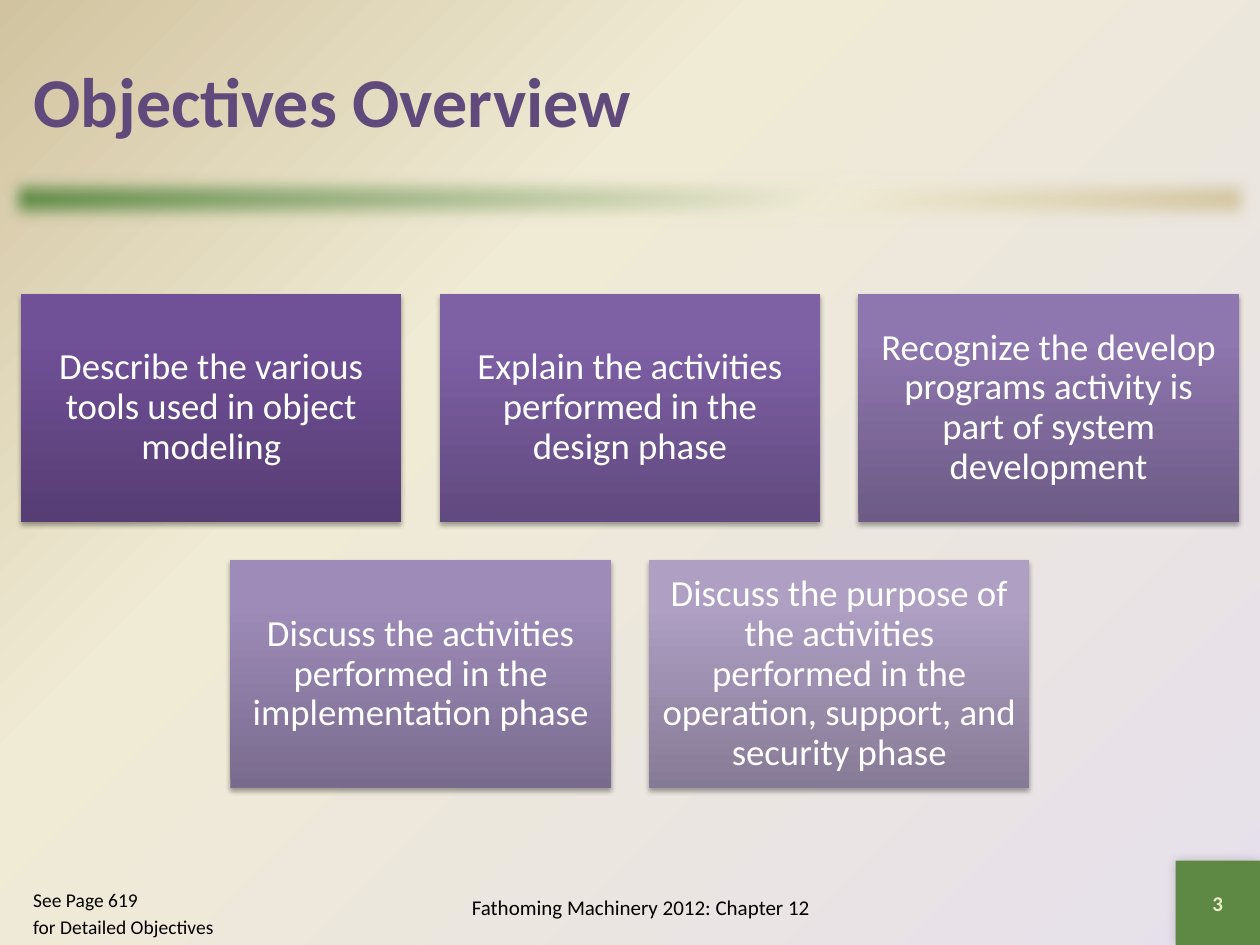
from dataclasses import dataclass

from lxml import etree
from pptx import Presentation
from pptx.dml.color import RGBColor
from pptx.enum.shapes import MSO_SHAPE
from pptx.enum.text import MSO_ANCHOR, PP_ALIGN
from pptx.oxml.ns import qn
from pptx.util import Cm, Pt

RECTANGLE = MSO_SHAPE.RECTANGLE
MIDDLE, TOP = MSO_ANCHOR.MIDDLE, MSO_ANCHOR.TOP
LEFT, CENTER = PP_ALIGN.LEFT, PP_ALIGN.CENTER

FONT = "Calibri"
GREEN, CREAM, TAN, LILAC = "5E8945", "F0EBD5", "D1C39F", "E6E0EC"
SLIDE_WIDTH, SLIDE_HEIGHT = 25.4, 19.05
CARD_WIDTH, CARD_HEIGHT, CARD_GAP, CARDS_TOP = 7.67, 4.6, 0.77, 5.92
MARGIN = 0.42


@dataclass(frozen=True)
class Box:
    """A place on the slide, in centimetres."""
    left: float
    top: float
    width: float
    height: float

    def lengths(self):
        return Cm(self.left), Cm(self.top), Cm(self.width), Cm(self.height)


@dataclass(frozen=True)
class Objective:
    wording: str
    bottom: str
    middle: str
    top: str


OBJECTIVE_ROWS = [
    [
        Objective("Describe the various tools used in object modeling",
                  "563D74", "705097", "704F99"),
        Objective("Explain the activities performed in the design phase",
                  "614A7F", "7E60A5", "7F60A7"),
        Objective("Recognize the develop programs activity is part of system development",
                  "6D5B86", "8E76AE", "8E75B0"),
    ],
    [
        Objective("Discuss the activities performed in the implementation phase",
                  "796B8E", "9E8BB8", "9E8BBA"),
        Objective("Discuss the purpose of the activities performed in the operation, "
                  "support, and security phase",
                  "867B96", "AE9FC3", "AE9FC4"),
    ],
]


def rgb(value: str) -> RGBColor:
    return RGBColor.from_string(value)


def add_element(parent, tag: str, **attributes):
    element = etree.SubElement(parent, qn(tag))
    for key, value in attributes.items():
        element.set(key, str(value))
    return element


def set_gradient(fill, properties, stops, angle=None):
    """Fill along an angle, or outwards from the bottom right corner without one."""
    fill.gradient()
    gradient = properties.find(qn("a:gradFill"))
    for child in list(gradient):
        gradient.remove(child)
    stop_list = add_element(gradient, "a:gsLst")
    for percent, color in stops:
        stop = add_element(stop_list, "a:gs", pos=percent * 1000)
        add_element(stop, "a:srgbClr", val=color)
    if angle is None:
        circle = add_element(gradient, "a:path", path="circle")
        add_element(circle, "a:fillToRect", l=100000, t=100000)
    else:
        add_element(gradient, "a:lin", ang=angle * 60000, scaled=1)


def add_rectangle(slide, box: Box):
    rectangle = slide.shapes.add_shape(RECTANGLE, *box.lengths())
    rectangle.line.fill.background()
    rectangle.shadow.inherit = False
    return rectangle


def effects(shape):
    return shape._element.spPr.find(qn("a:effectLst"))


def add_shadow(shape, opacity: int, blur: float, distance: float, angle: int):
    shadow = add_element(effects(shape), "a:outerShdw", blurRad=Pt(blur),
                         dist=Pt(distance), dir=angle * 60000, rotWithShape=0)
    color = add_element(shadow, "a:srgbClr", val="000000")
    add_element(color, "a:alpha", val=opacity * 1000)


def write(shape, text: str, *, size: float, color: str, bold=False, align=LEFT,
          anchor=MIDDLE, inset=None, line_spacing=None, gap=0.0):
    """Write one paragraph per line of text, with gap points between them."""
    frame = shape.text_frame
    frame.text = text
    frame.word_wrap = True
    frame.vertical_anchor = anchor
    if inset is not None:
        frame.margin_left = frame.margin_right = Cm(inset)
        frame.margin_top = frame.margin_bottom = Cm(inset)
    for index, paragraph in enumerate(frame.paragraphs):
        paragraph.alignment = align
        paragraph.line_spacing = line_spacing
        if index and gap:
            paragraph.space_before = Pt(gap)
        font = paragraph.font
        font.name, font.size, font.bold = FONT, Pt(size), bold
        font.color.rgb = rgb(color)


def add_label(slide, box: Box, text: str, **text_format):
    write(slide.shapes.add_textbox(*box.lengths()), text, **text_format)


def add_card(slide, box: Box, objective: Objective):
    card = add_rectangle(slide, box)
    stops = [(0, objective.bottom), (80, objective.middle), (100, objective.top)]
    set_gradient(card.fill, card._element.spPr, stops, angle=270)
    add_shadow(card, opacity=35, blur=3.1, distance=1.8, angle=90)
    write(card, objective.wording, size=21, color="FFFFFF", align=CENTER,
          inset=0.23, line_spacing=0.9)


def add_cards(slide):
    """Centre each row of cards on the slide."""
    for row, objectives in enumerate(OBJECTIVE_ROWS):
        count = len(objectives)
        row_width = count * CARD_WIDTH + (count - 1) * CARD_GAP
        left = (SLIDE_WIDTH - row_width) / 2
        top = CARDS_TOP + row * (CARD_HEIGHT + CARD_GAP)
        for column, objective in enumerate(objectives):
            card_left = left + column * (CARD_WIDTH + CARD_GAP)
            add_card(slide, Box(card_left, top, CARD_WIDTH, CARD_HEIGHT), objective)


def add_divider(slide):
    divider = add_rectangle(slide, Box(0, 3.38, SLIDE_WIDTH, 1.27))
    set_gradient(divider.fill, divider._element.spPr,
                 [(0, GREEN), (65, CREAM), (100, TAN)], angle=45)
    add_element(effects(divider), "a:softEdge", rad=Pt(10))


def add_page_number(slide, number: str):
    side = 1.7
    square = add_rectangle(
        slide, Box(SLIDE_WIDTH - side, SLIDE_HEIGHT - side, side, side))
    square.fill.solid()
    square.fill.fore_color.rgb = rgb(GREEN)
    add_shadow(square, opacity=20, blur=6, distance=0, angle=225)
    write(square, number, size=12, color="EEEBCA", bold=True, align=CENTER)


def main():
    deck = Presentation()
    deck.slide_width, deck.slide_height = Cm(SLIDE_WIDTH), Cm(SLIDE_HEIGHT)
    slide = deck.slides.add_slide(deck.slide_layouts[5])

    background_fill = slide.background.fill
    set_gradient(background_fill, slide._element.cSld.bg.bgPr,
                 [(0, LILAC), (65, CREAM), (100, TAN)])
    add_divider(slide)

    title = slide.shapes.title
    title_box = Box(MARGIN, MARGIN, SLIDE_WIDTH - 2 * MARGIN, 3.18)
    title.left, title.top, title.width, title.height = title_box.lengths()
    write(title, "Objectives Overview", size=40, color="604A7B", bold=True)

    add_cards(slide)
    add_label(slide, Box(7.62, 17.65, 10.6, 1.27),
              "Fathoming Machinery 2012: Chapter 12",
              size=12, color="000000", align=CENTER)
    add_page_number(slide, "3")
    add_label(slide, Box(MARGIN, 17.78, 4.65, 1.27),
              "See Page 619\nfor Detailed Objectives",
              size=11.1, color="000000", anchor=TOP, gap=2.2)

    deck.save("out.pptx")


if __name__ == "__main__":
    main()
